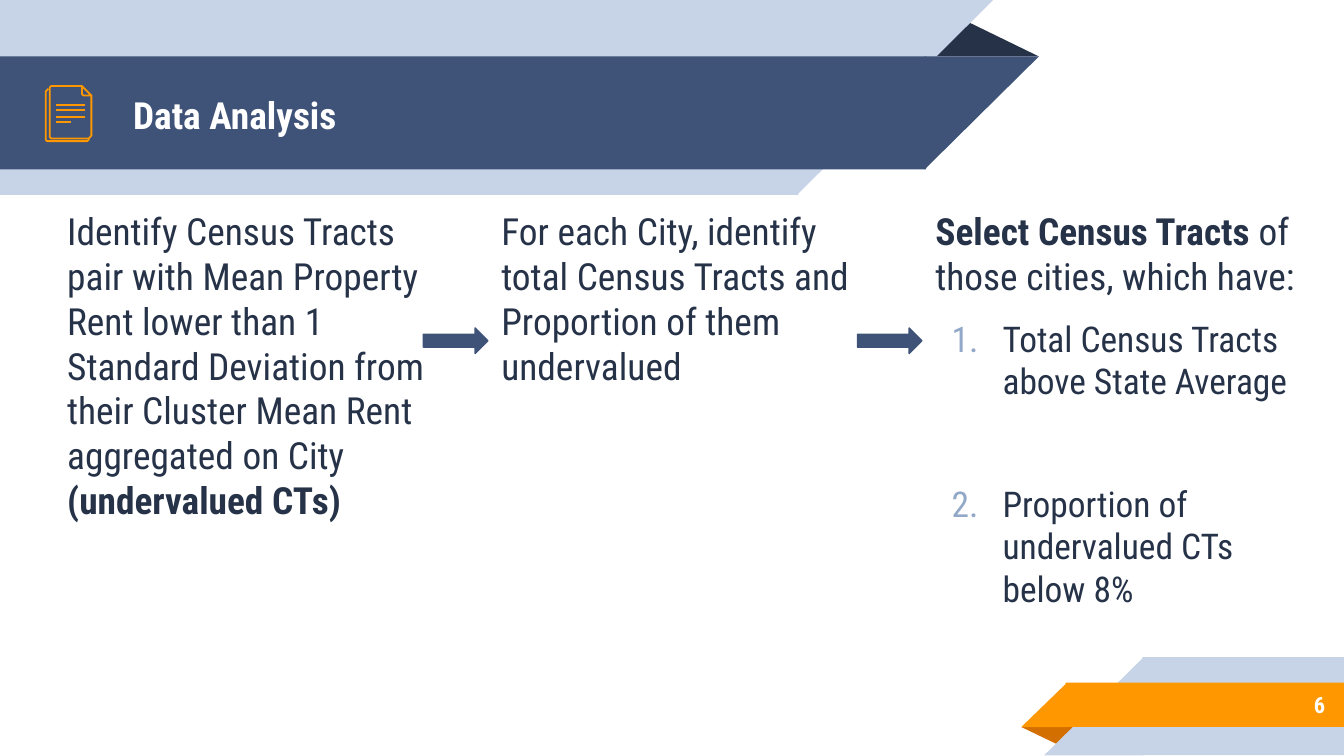
from lxml import etree
from pptx import Presentation, util as u
from pptx.dml.color import RGBColor
from pptx.enum import shapes, text
from pptx.oxml.ns import qn

FONT = "Roboto Condensed"
NAVY = RGBColor(0x26, 0x32, 0x48)
BLUE = RGBColor(0x3F, 0x53, 0x78)
PALE = RGBColor(0xC7, 0xD3, 0xE6)
ORANGE = RGBColor(0xFF, 0x98, 0x00)
RUST = RGBColor(0xD2, 0x6F, 0x00)
WHITE = RGBColor(0xFF, 0xFF, 0xFF)
NUMBER_COLOR = "92A8C8"

SLIDE_WIDTH = 10
SLIDE_HEIGHT = SLIDE_WIDTH * 9 / 16
SEAM = 0.01  # overlap that hides the joint between band and slanted end
COLUMN_LEFT, COLUMN_PITCH, COLUMN_WIDTH = 0.4, 3.23, 2.88
COLUMN_TOP, COLUMN_HEIGHT = 1.45, 3.44
ARROW_WIDTH = 0.48


def place(shape, left, top, width, height):
    shape.left, shape.top = u.Inches(left), u.Inches(top)
    shape.width, shape.height = u.Inches(width), u.Inches(height)


def add_block(slide, kind, box, color, rotation=0, flip=False):
    shape = slide.shapes.add_shape(kind, *map(u.Inches, box))
    shape.shadow.inherit = False
    shape.fill.solid()
    shape.fill.fore_color.rgb = color
    shape.line.fill.background()
    shape.rotation = rotation
    if flip:
        shape._element.spPr.xfrm.set("flipH", "1")
    return shape


def add_fold(slide, box, color, rotation=0):
    fold = add_block(slide, shapes.MSO_SHAPE.ISOSCELES_TRIANGLE, box, color, rotation)
    fold.adjustments[0] = 0.324


def add_top_ribbon(slide, top, width, height, color):
    """Band from the left edge with a slanted right end."""
    add_block(slide, shapes.MSO_SHAPE.RECTANGLE, (0, top, width, height), color, 180, True)
    add_block(slide, shapes.MSO_SHAPE.RIGHT_TRIANGLE,
              (width - SEAM, top, height + SEAM, height), color, 180, True)


def add_bottom_ribbon(slide, left, top, height, color):
    """Band to the right edge with a slanted left end."""
    add_block(slide, shapes.MSO_SHAPE.RECTANGLE,
              (left, top, SLIDE_WIDTH - left, height), color, flip=True)
    add_block(slide, shapes.MSO_SHAPE.RIGHT_TRIANGLE,
              (left - height, top, height + SEAM, height), color, flip=True)


def add_outline(slide, points, close=False):
    corners = [(u.Inches(x), u.Inches(y)) for x, y in points]
    builder = slide.shapes.build_freeform(*corners[0])
    builder.add_line_segments(corners[1:], close=close)
    outline = builder.convert_to_shape()
    outline.shadow.inherit = False
    outline.fill.background()
    outline.line.color.rgb = ORANGE
    outline.line.width = u.Pt(0.96)


def add_icon_line(slide, right, y):
    line = slide.shapes.add_connector(
        shapes.MSO_CONNECTOR.STRAIGHT, *map(u.Inches, (right, y, 0.42, y)))
    line.line.color.rgb = ORANGE
    line.line.width = u.Pt(0.96)
    etree.SubElement(line._element.spPr, qn("a:effectLst"))


def add_document_icon(slide):
    # Back sheet, front sheet, text lines, folded corner
    add_outline(slide, [(0.66, 1.03), (0.66, 1.04), (0.65, 1.05), (0.64, 1.05), (0.36, 1.05),
                        (0.35, 1.05), (0.34, 1.04), (0.34, 1.03), (0.34, 0.68), (0.35, 0.67),
                        (0.36, 0.66)])
    add_outline(slide, [(0.68, 0.71), (0.68, 1.01), (0.67, 1.02), (0.66, 1.03), (0.38, 1.03),
                        (0.37, 1.02), (0.37, 1.01), (0.37, 0.66), (0.37, 0.65), (0.38, 0.64),
                        (0.61, 0.64)])
    for right, y in ((0.53, 0.91), (0.63, 0.87), (0.63, 0.82), (0.63, 0.78)):
        add_icon_line(slide, right, y)
    add_outline(slide, [(0.61, 0.7), (0.61, 0.64), (0.68, 0.71), (0.63, 0.71), (0.62, 0.71)],
                close=True)


def prepare_frame(shape, anchor):
    frame = shape.text_frame
    frame.word_wrap = True
    frame.auto_size = text.MSO_AUTO_SIZE.NONE
    frame.vertical_anchor = anchor
    frame.margin_left = frame.margin_right = u.Inches(0.1)
    frame.margin_top = frame.margin_bottom = u.Inches(0.1)
    return frame


def format_run(run, size, color, bold=False):
    run.font.name, run.font.size, run.font.bold = FONT, u.Pt(size), bold
    run.font.color.rgb = color


def set_label(shape, box, words, size, alignment):
    place(shape, *box)
    frame = prepare_frame(shape, text.MSO_ANCHOR.MIDDLE)
    frame.text = words
    paragraph = frame.paragraphs[0]
    paragraph.alignment = alignment
    format_run(paragraph.runs[0], size, WHITE, True)


def format_paragraph(paragraph, before, numbered=False):
    paragraph.alignment = text.PP_ALIGN.LEFT
    paragraph.space_before, paragraph.space_after = u.Pt(before), u.Pt(0)
    paragraph.line_spacing = 1.0
    properties = paragraph._p.get_or_add_pPr()
    properties.set("marL", str(u.Inches(0.5 if numbered else 0)))
    properties.set("indent", str(u.Inches(-0.38 if numbered else 0)))
    if numbered:
        color = etree.SubElement(properties, qn("a:buClr"))
        etree.SubElement(color, qn("a:srgbClr"), val=NUMBER_COLOR)
        etree.SubElement(properties, qn("a:buFont"), typeface=FONT)
        etree.SubElement(properties, qn("a:buAutoNum"), type="arabicPeriod")
    else:
        etree.SubElement(properties, qn("a:buNone"))


def fill_column(shape, left, parts, items):
    place(shape, left, COLUMN_TOP, COLUMN_WIDTH, COLUMN_HEIGHT)
    frame = prepare_frame(shape, text.MSO_ANCHOR.TOP)
    paragraph = frame.paragraphs[0]
    format_paragraph(paragraph, 6)
    for words, bold in parts:
        run = paragraph.add_run()
        run.text = words
        format_run(run, 20, NAVY, bold)
    for words, before in items:
        paragraph = frame.add_paragraph()
        paragraph.text = words
        format_paragraph(paragraph, before, numbered=True)
        format_run(paragraph.runs[0], 19, NAVY)


def add_step_arrow(slide, right):
    arrow = add_block(slide, shapes.MSO_SHAPE.RIGHT_ARROW,
                      (right - ARROW_WIDTH, 2.44, ARROW_WIDTH, 0.19), BLUE)
    arrow.line.color.rgb = BLUE
    arrow.line.width = u.Pt(0.75)


def main():
    presentation = Presentation()
    presentation.slide_width = u.Inches(SLIDE_WIDTH)
    presentation.slide_height = u.Inches(SLIDE_HEIGHT)
    slide = presentation.slides.add_slide(presentation.slide_layouts.get_by_name("Comparison"))
    title, *bodies = slide.placeholders
    spare = bodies.pop()
    spare._element.getparent().remove(spare._element)

    # Header ribbons
    add_fold(slide, (6.88, 0.14, 0.85, 0.28), NAVY)
    add_top_ribbon(slide, 0, 5.94, 1.45, PALE)
    add_top_ribbon(slide, 0.42, 6.89, 0.84, BLUE)

    # Footer ribbons
    add_fold(slide, (7.6, 5.41, 0.43, 0.14), RUST, 180)
    add_bottom_ribbon(slide, 8.5, 4.89, 0.73, PALE)
    add_bottom_ribbon(slide, 7.93, 5.08, 0.33, ORANGE)

    # Title, page number and icon
    set_label(title, (0.89, 0.43, 5.75, 0.84), "Data Analysis", 20, text.PP_ALIGN.LEFT)
    number = slide.shapes.add_textbox(0, 0, 0, 0)
    set_label(number, (8.33, 5.07, 1.63, 0.35), "6", 12, text.PP_ALIGN.RIGHT)
    add_document_icon(slide)

    # Three steps: lead text as (words, bold), list items as (words, space before)
    steps = [
        ([("Identify Census Tracts pair with Mean Property Rent lower than 1 Standard "
           "Deviation from their Cluster Mean Rent aggregated on City ", False),
          ("(undervalued CTs)", True)], []),
        ([("For each City, identify total Census Tracts and Proportion of them "
           "undervalued", False)], []),
        ([("Select Census Tracts", True), (" of those cities, which have:", False)],
         [("Total Census Tracts above State Average", 10),
          ("Proportion of undervalued CTs below 8%", 43)]),
    ]
    for index, (body, (parts, items)) in enumerate(zip(bodies, steps)):
        left = COLUMN_LEFT + index * COLUMN_PITCH
        fill_column(body, left, parts, items)
        if index:
            add_step_arrow(slide, left)

    # Text stays in front of the ribbons
    for placeholder in (title, *bodies):
        slide.shapes._spTree.append(placeholder._element)

    presentation.save("out.pptx")


if __name__ == "__main__":
    main()
